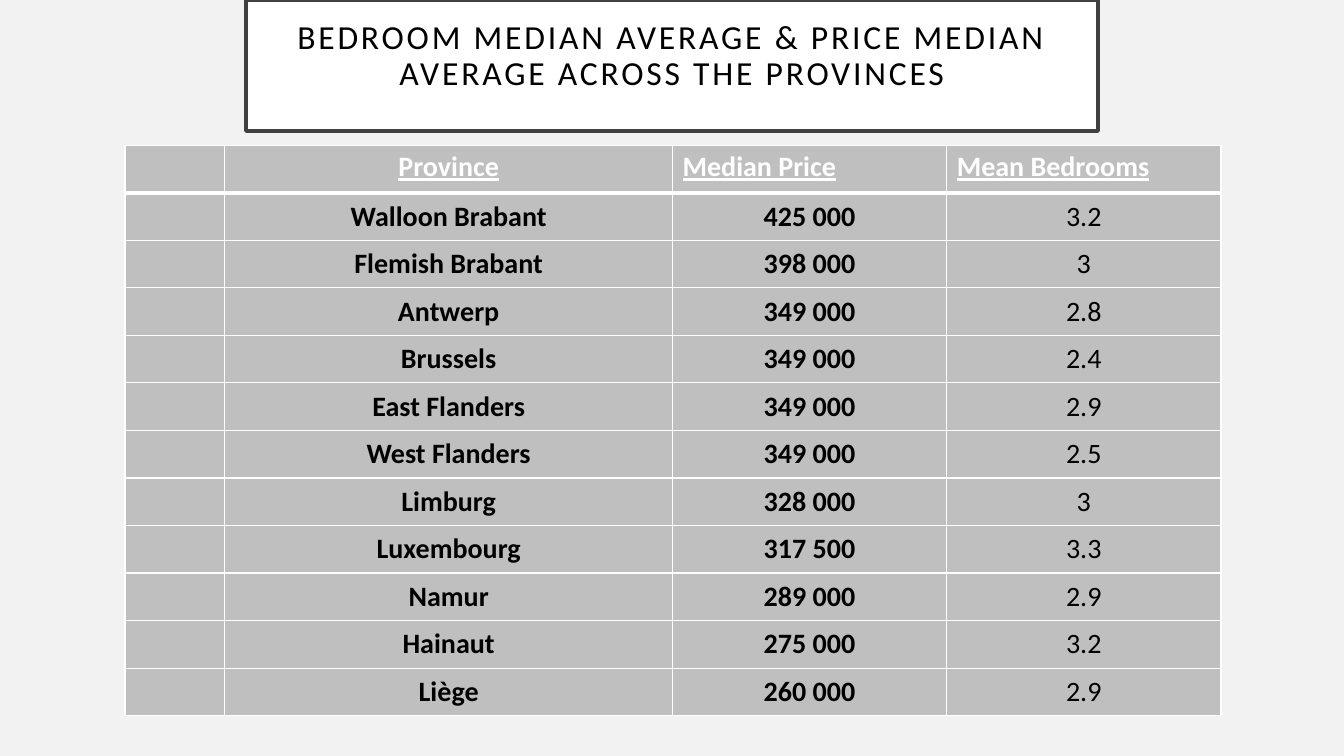
"""Build a slide with a table of median prices and mean bedrooms by province."""
import lxml.etree
import pptx
import pptx.dml.color
import pptx.enum.text
import pptx.oxml.ns
import pptx.util

TITLE = "BEDROOM MEDIAN AVERAGE & PRICE MEDIAN AVERAGE ACROSS THE PROVINCES"
HEADINGS = ("", "Province", "Median Price", "Mean Bedrooms")
PROVINCES = [
    ("Walloon Brabant", "425 000", "3.2"),
    ("Flemish Brabant", "398 000", "3"),
    ("Antwerp", "349 000", "2.8"),
    ("Brussels", "349 000", "2.4"),
    ("East Flanders", "349 000", "2.9"),
    ("West Flanders", "349 000", "2.5"),
    ("Limburg", "328 000", "3"),
    ("Luxembourg", "317 500", "3.3"),
    ("Namur", "289 000", "2.9"),
    ("Hainaut", "275 000", "3.2"),
    ("Liège", "260 000", "2.9"),
]
COLORS = {
    "background": "F2F2F2",
    "frame": "404040",
    "cell": "BFBFBF",
    "white": "FFFFFF",
    "black": "000000",
}
COLUMN_WIDTHS = (0.99, 4.44, 2.72, 2.72)
ROW_HEIGHT = 5.66 / (len(PROVINCES) + 1)
BEDROOMS_COLUMN = 3

Inches = pptx.util.Inches
Pt = pptx.util.Pt
ALIGN = pptx.enum.text.PP_ALIGN
ANCHOR = pptx.enum.text.MSO_ANCHOR
HEADING_ALIGN = (ALIGN.LEFT, ALIGN.CENTER, ALIGN.LEFT, ALIGN.LEFT)


def rgb(name):
    """Return the named colour."""
    return pptx.dml.color.RGBColor.from_string(COLORS[name])


def paint(fill, name):
    """Fill with a solid named colour."""
    fill.solid()
    fill.fore_color.rgb = rgb(name)


def apply(target, values):
    """Set each attribute named in values."""
    for name, value in values.items():
        setattr(target, name, value)


def write(paragraph, text, color, align, **font):
    """Add one formatted run and return it."""
    paragraph.alignment = align
    run = paragraph.add_run()
    run.text = text
    apply(run.font, {"name": "Calibri", **font})
    run.font.color.rgb = rgb(color)
    return run


def add_borders(cell, bottom):
    """Draw white cell borders, with the bottom width in points."""
    properties = cell._tc.get_or_add_tcPr()
    qn = pptx.oxml.ns.qn
    widths = {"a:lnL": 1, "a:lnR": 1, "a:lnT": 1, "a:lnB": bottom}
    for position, (side, width) in enumerate(widths.items()):
        border = lxml.etree.Element(qn(side), w=str(Pt(width)))
        solid = lxml.etree.SubElement(border, qn("a:solidFill"))
        lxml.etree.SubElement(solid, qn("a:srgbClr"), val=COLORS["white"])
        properties.insert(position, border)


def add_title(slide):
    """Format the title placeholder as a framed box."""
    title = slide.shapes.title
    apply(title, {"left": Inches(2.44), "top": Inches(0),
                  "width": Inches(8.45), "height": Inches(1.3)})
    paint(title.fill, "white")
    title.line.color.rgb = rgb("frame")
    title.line.width = Pt(2.5)
    margins = ("margin_left", "margin_top", "margin_right", "margin_bottom")
    frame = title.text_frame
    apply(frame, dict.fromkeys(margins, Inches(0.2)))
    apply(frame, {"word_wrap": True, "vertical_anchor": ANCHOR.TOP,
                  "auto_size": pptx.enum.text.MSO_AUTO_SIZE.NONE})
    heading = frame.paragraphs[0]
    heading.line_spacing = 0.9
    run = write(heading, TITLE, "black", ALIGN.CENTER, size=Pt(24))
    run._r.get_or_add_rPr().set("spc", "200")


def add_province_table(slide):
    """Add the table of provinces."""
    rows = [HEADINGS] + [("", *province) for province in PROVINCES]
    table = slide.shapes.add_table(
        len(rows), len(HEADINGS), Inches(1.24), Inches(1.44),
        Inches(sum(COLUMN_WIDTHS)), Inches(ROW_HEIGHT * len(rows))).table
    for column, width in zip(table.columns, COLUMN_WIDTHS):
        column.width = Inches(width)
    for row_index, row in enumerate(rows):
        table.rows[row_index].height = Inches(ROW_HEIGHT)
        is_heading = row_index == 0
        for column_index, text in enumerate(row):
            cell = table.cell(row_index, column_index)
            paint(cell.fill, "cell")
            add_borders(cell, 3 if is_heading else 1)
            cell.vertical_anchor = ANCHOR.TOP if is_heading else ANCHOR.MIDDLE
            if text:
                write(cell.text_frame.paragraphs[0], text,
                      "white" if is_heading else "black",
                      HEADING_ALIGN[column_index] if is_heading else ALIGN.CENTER,
                      size=Pt(20), underline=is_heading,
                      bold=is_heading or column_index != BEDROOMS_COLUMN)


def main():
    """Build and save the presentation."""
    presentation = pptx.Presentation()
    apply(presentation, {"slide_width": Inches(13.33), "slide_height": Inches(7.5)})
    slide = presentation.slides.add_slide(presentation.slide_layouts[5])
    paint(slide.background.fill, "background")
    add_title(slide)
    add_province_table(slide)
    presentation.save("out.pptx")


if __name__ == "__main__":
    main()
